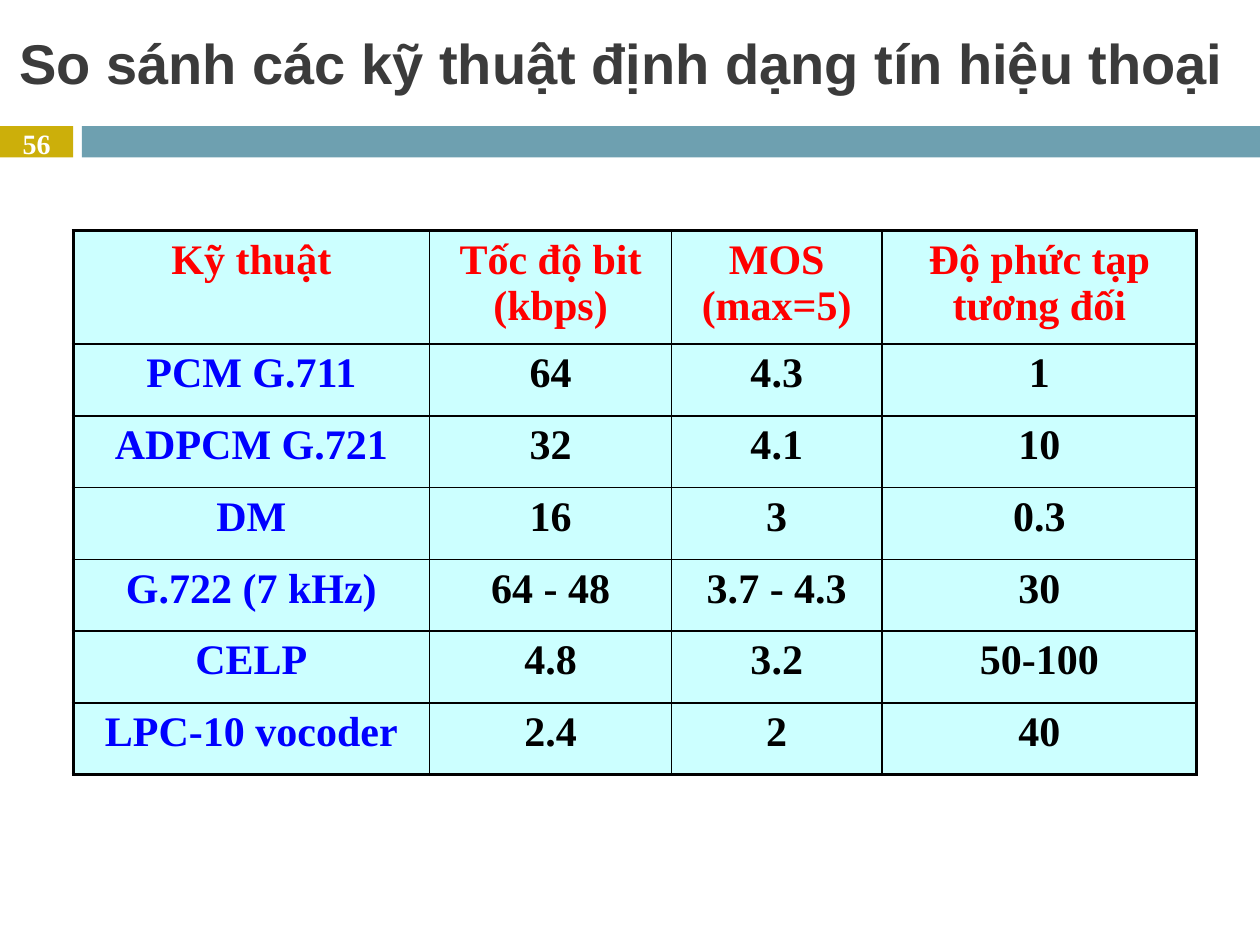
from lxml import etree
from pptx import Presentation
from pptx.dml.color import RGBColor
from pptx.enum.shapes import MSO_SHAPE
from pptx.enum.text import MSO_ANCHOR, PP_ALIGN
from pptx.oxml.ns import qn
from pptx.util import Inches, Pt

RECT = MSO_SHAPE.RECTANGLE
MIDDLE = MSO_ANCHOR.MIDDLE
CENTER = PP_ALIGN.CENTER
SERIF = "Times New Roman"
HEADER = ["Kỹ thuật", "Tốc độ bit (kbps)", "MOS (max=5)", "Độ phức tạp tương đối"]
TECHNIQUES = [
    ["PCM G.711", "64", "4.3", "1"],
    ["ADPCM G.721", "32", "4.1", "10"],
    ["DM", "16", "3", "0.3"],
    ["G.722 (7 kHz)", "64 - 48", "3.7 - 4.3", "30"],
    ["CELP", "4.8", "3.2", "50-100"],
    ["LPC-10 vocoder", "2.4", "2", "40"],
]
COL_WIDTHS = [2.83, 1.92, 1.67, 2.5]
ROW_HEIGHTS = [0.83] + [0.57] * len(TECHNIQUES)


def color(hex_value):
    return RGBColor.from_string(hex_value)


def add_text(tf, text, font, size, hex_value):
    p = tf.paragraphs[0]
    p.alignment = CENTER
    r = p.add_run()
    r.text = text
    r.font.name = font
    r.font.size = Pt(size)
    r.font.bold = True
    r.font.color.rgb = color(hex_value)


def place_title(s, left, top, width, height):
    sp = s.shapes.title
    sp.left, sp.top = Inches(left), Inches(top)
    sp.width, sp.height = Inches(width), Inches(height)
    tf = sp.text_frame
    tf.vertical_anchor = MIDDLE
    add_text(tf, "So sánh các kỹ thuật định dạng tín hiệu thoại ", "Arial", 32, "3B3B3B")


def add_band(s, left, top, width, height, fill):
    sp = s.shapes.add_shape(RECT, Inches(left), Inches(top), Inches(width), Inches(height))
    sp.shadow.inherit = False
    sp.fill.solid()
    sp.fill.fore_color.rgb = color(fill)
    sp.line.fill.background()


def add_number_bar(s, left, top, width, height):
    number_width, gap = 0.58, 0.07
    bar_left = left + number_width + gap
    add_band(s, left, top, number_width, height, "CCAF0A")
    add_band(s, bar_left, top, left + width - bar_left, height, "6EA0B0")
    sp = s.shapes.add_textbox(Inches(left), Inches(top), Inches(number_width), Inches(0.27))
    tf = sp.text_frame
    tf.word_wrap = True
    tf.margin_left = tf.margin_right = tf.margin_top = tf.margin_bottom = 0
    tf.vertical_anchor = MIDDLE
    add_text(tf, "56", SERIF, 16, "FFFFFF")


def set_borders(cell, widths):
    tc_pr = cell._tc.get_or_add_tcPr()
    for i, (side, width) in enumerate(widths.items()):
        ln = etree.Element(qn("a:" + side), w=str(Pt(width)))
        fill = etree.SubElement(ln, qn("a:solidFill"))
        etree.SubElement(fill, qn("a:srgbClr"), val="000000")
        tc_pr.insert(i, ln)


def add_comparison_table(s, left, top, width, height):
    rows = [HEADER] + TECHNIQUES
    last_row, last_col = len(rows) - 1, len(HEADER) - 1
    table = s.shapes.add_table(len(rows), len(HEADER), Inches(left), Inches(top),
                               Inches(width), Inches(height)).table
    table.first_row = table.horz_banding = False
    for col, col_width in zip(table.columns, COL_WIDTHS):
        col.width = Inches(col_width)
    for row, row_height in zip(table.rows, ROW_HEIGHTS):
        row.height = Inches(row_height)
    for i, values in enumerate(rows):
        for j, value in enumerate(values):
            cell = table.cell(i, j)
            cell.fill.solid()
            cell.fill.fore_color.rgb = color("CCFFFF")
            text_color = "FF0000" if i == 0 else "0000FF" if j == 0 else "000000"
            add_text(cell.text_frame, value, SERIF, 24, text_color)
            set_borders(cell, {
                "lnL": 2 if j == 0 else 1,
                "lnR": 2 if j == last_col else 1,
                "lnT": 2 if i == 0 else 1,
                "lnB": 2 if i == last_row else 1,
            })


def main():
    prs = Presentation()
    prs.slide_width, prs.slide_height = Inches(10), Inches(7.5)
    s = prs.slides.add_slide(prs.slide_layouts[5])
    place_title(s, 0, 0.08, 10, 0.83)
    add_number_bar(s, 0, 1, 10, 0.25)
    add_comparison_table(s, 0.58, 1.83, sum(COL_WIDTHS), sum(ROW_HEIGHTS))
    prs.save("out.pptx")


if __name__ == "__main__":
    main()
